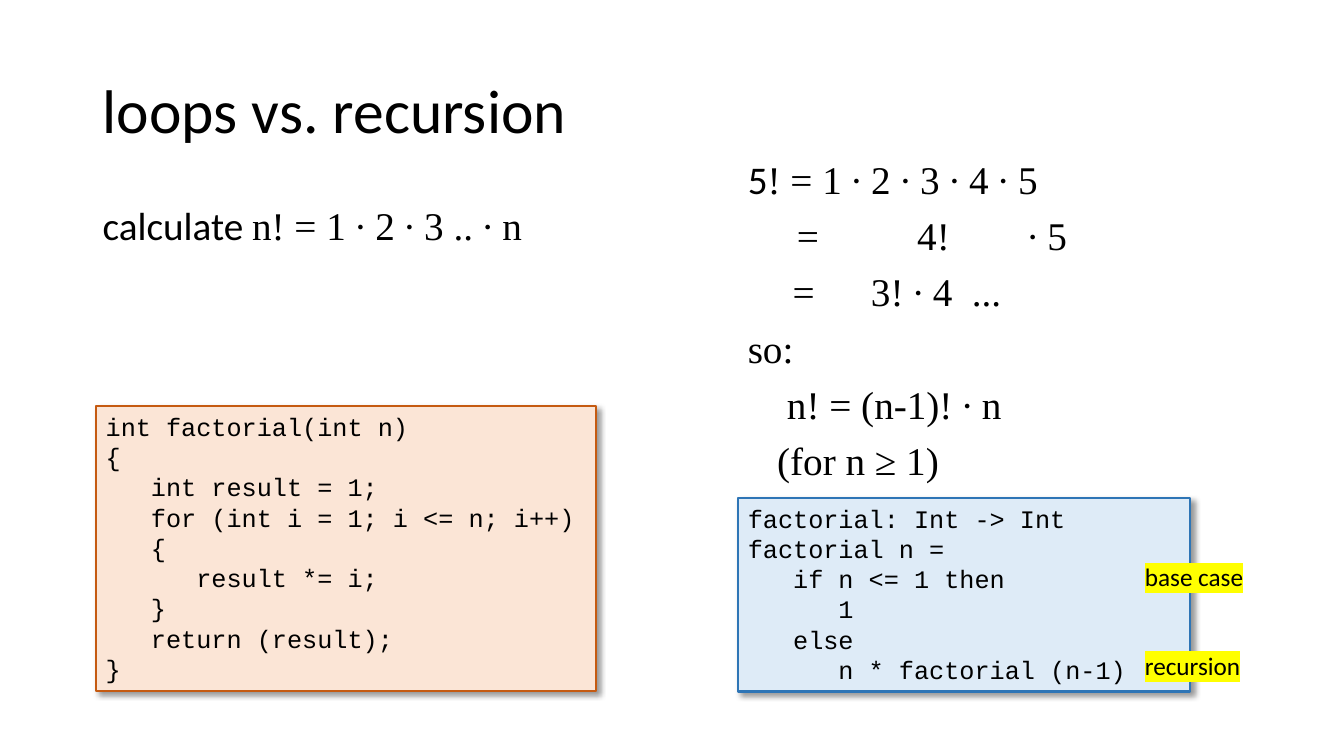
from lxml.etree import SubElement
from pptx import Presentation
from pptx.dml.color import RGBColor
from pptx.enum.shapes import MSO_SHAPE
from pptx.enum.text import MSO_ANCHOR, MSO_AUTO_SIZE, PP_ALIGN
from pptx.oxml.ns import qn
from pptx.util import Pt

BLACK = RGBColor(0x00, 0x00, 0x00)
YELLOW = RGBColor(0xFF, 0xFF, 0x00)
PEACH = RGBColor(0xFB, 0xE5, 0xD6)
RUST = RGBColor(0xC5, 0x5A, 0x11)
PALE_BLUE = RGBColor(0xDE, 0xEB, 0xF7)
BLUE = RGBColor(0x2E, 0x75, 0xB6)

SANS = "Calibri"
SERIF = "Times New Roman"
MONO = "Courier New"

LOOP_CODE = [
    (0, "int factorial(int n)"),
    (0, "{"),
    (1, "int result = 1;"),
    (1, "for (int i = 1; i <= n; i++)"),
    (1, "{"),
    (2, "result *= i;"),
    (1, "}"),
    (1, "return (result);"),
    (0, "}"),
]
RECURSION_CODE = [
    (0, "factorial: Int -> Int"),
    (0, "factorial n ="),
    (1, "if n <= 1 then"),
    (2, "1"),
    (1, "else"),
    (2, "n * factorial (n-1)"),
]
TASK = [([("calculate ", SANS), ("n! = 1 ∙ 2 ∙ 3 .. ∙ n", SERIF)], [])]
DERIVATION = [
    ([("5", SANS), ("! = 1 ∙ 2 ∙ 3 ∙ 4 ∙ 5", SERIF)], []),
    ([("\t=\t4!\t∙ 5", SERIF)], [35, 121, 200]),
    ([("\t=\t3! ∙ 4\t...", SERIF)], [32, 88, 160]),
    ([("so:", SERIF)], []),
    ([("\tn! = (n-1)! ∙ n", SERIF)], [28]),
    ([("\t(for n ≥ 1)", SERIF)], [21]),
]


class SlideBuilder:
    code_indent = 32.4
    title_format = {"size": Pt(44), "name": SANS}
    body_format = {"size": Pt(28)}
    code_format = {"size": Pt(18), "name": MONO}
    label_format = {"size": Pt(18), "name": SANS}
    body_spacing = {"line_spacing": 0.9, "space_before": Pt(10)}
    shadow_format = {
        "blurRad": Pt(4), "dist": Pt(3), "dir": 45 * 60000,
        "algn": "tl", "rotWithShape": 0,
    }

    def __init__(self, slide):
        self.slide = slide

    def apply(self, target, values):
        for name, value in values.items():
            setattr(target, name, value)

    def add_run(self, paragraph, text, values):
        run = paragraph.add_run()
        run.text = text
        self.apply(run.font, values)
        run.font.color.rgb = BLACK
        return run

    def paragraphs(self, frame, count):
        return [frame.paragraphs[0]] + [frame.add_paragraph() for _ in range(count - 1)]

    def text_frame(self, left, top, width, height, **values):
        shape = self.slide.shapes.add_textbox(Pt(left), Pt(top), Pt(width), Pt(height))
        self.apply(shape.text_frame, {"word_wrap": True, **values})
        return shape.text_frame

    def title(self, text, *box):
        frame = self.text_frame(*box, vertical_anchor=MSO_ANCHOR.MIDDLE)
        paragraph = frame.paragraphs[0]
        paragraph.line_spacing = 0.9
        self.add_run(paragraph, text, self.title_format)

    def body(self, lines, *box):
        frame = self.text_frame(*box)
        for paragraph, (runs, stops) in zip(self.paragraphs(frame, len(lines)), lines):
            self.apply(paragraph, self.body_spacing)
            for text, font_name in runs:
                self.add_run(paragraph, text, {**self.body_format, "name": font_name})
            if stops:
                self.tab_stops(paragraph, stops)

    def tab_stops(self, paragraph, stops):
        tab_list = SubElement(paragraph._p.get_or_add_pPr(), qn("a:tabLst"))
        for stop in stops:
            SubElement(tab_list, qn("a:tab"), pos=str(Pt(stop)), algn="l")

    def code(self, lines, fill, outline, left, top, width, height):
        shape = self.slide.shapes.add_shape(
            MSO_SHAPE.RECTANGLE, Pt(left), Pt(top), Pt(width), Pt(height))
        shape.fill.solid()
        shape.fill.fore_color.rgb = fill
        shape.line.color.rgb = outline
        shape.line.width = Pt(1.5)
        self.drop_shadow(shape)
        frame = shape.text_frame
        self.apply(frame, {
            "word_wrap": True,
            "vertical_anchor": MSO_ANCHOR.TOP,
            "auto_size": MSO_AUTO_SIZE.SHAPE_TO_FIT_TEXT,
        })
        for paragraph, (level, text) in zip(self.paragraphs(frame, len(lines)), lines):
            paragraph.alignment = PP_ALIGN.LEFT
            paragraph._p.get_or_add_pPr().set("marL", str(Pt(level * self.code_indent)))
            self.add_run(paragraph, text, self.code_format)

    def drop_shadow(self, shape):
        shape.shadow.inherit = False
        effects = shape._element.spPr.find(qn("a:effectLst"))
        shadow = SubElement(effects, qn("a:outerShdw"))
        for name, value in self.shadow_format.items():
            shadow.set(name, str(value))
        color = SubElement(shadow, qn("a:srgbClr"), val=str(BLACK))
        SubElement(color, qn("a:alpha"), val="40000")

    def label(self, text, *box):
        frame = self.text_frame(
            *box, word_wrap=False, auto_size=MSO_AUTO_SIZE.SHAPE_TO_FIT_TEXT)
        run = self.add_run(frame.paragraphs[0], text, self.label_format)
        properties = run._r.get_or_add_rPr()
        highlight = SubElement(properties, qn("a:highlight"))
        SubElement(highlight, qn("a:srgbClr"), val=str(YELLOW))
        properties.find(qn("a:solidFill")).addnext(highlight)


def main():
    presentation = Presentation()
    presentation.slide_width = Pt(960)
    presentation.slide_height = Pt(540)
    builder = SlideBuilder(presentation.slides.add_slide(presentation.slide_layouts[6]))
    builder.title("loops vs. recursion", 66.24, 28.8, 828, 104.4)
    builder.body(TASK, 66.24, 144, 440, 342.72)
    builder.code(LOOP_CODE, PEACH, RUST, 68.4, 290.16, 357.12, 203.76)
    builder.body(DERIVATION, 527.04, 110.88, 425, 342.72)
    builder.code(RECURSION_CODE, PALE_BLUE, BLUE, 527.04, 355.68, 323.28, 138.24)
    builder.label("base case", 810.72, 397.44, 85.68, 28.8)
    builder.label("recursion", 810.72, 460.8, 83.52, 28.8)
    presentation.save("out.pptx")


if __name__ == "__main__":
    main()
